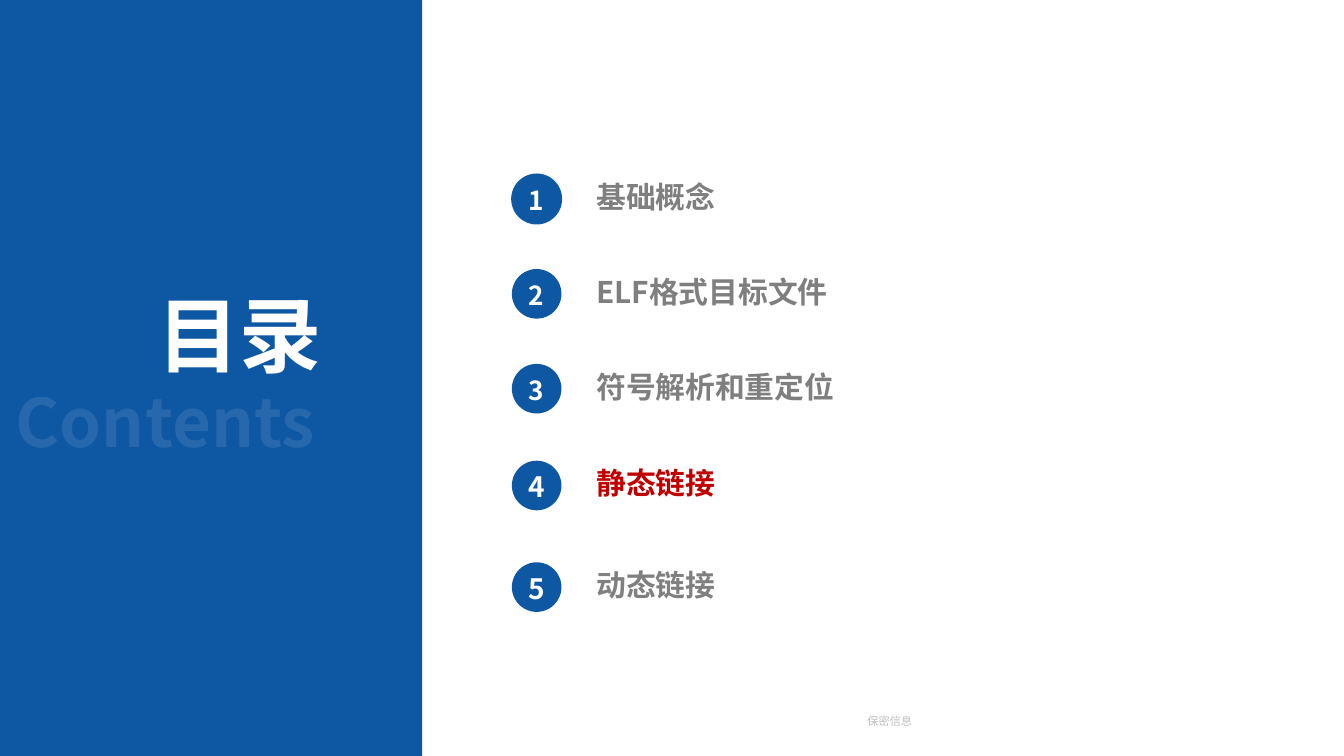
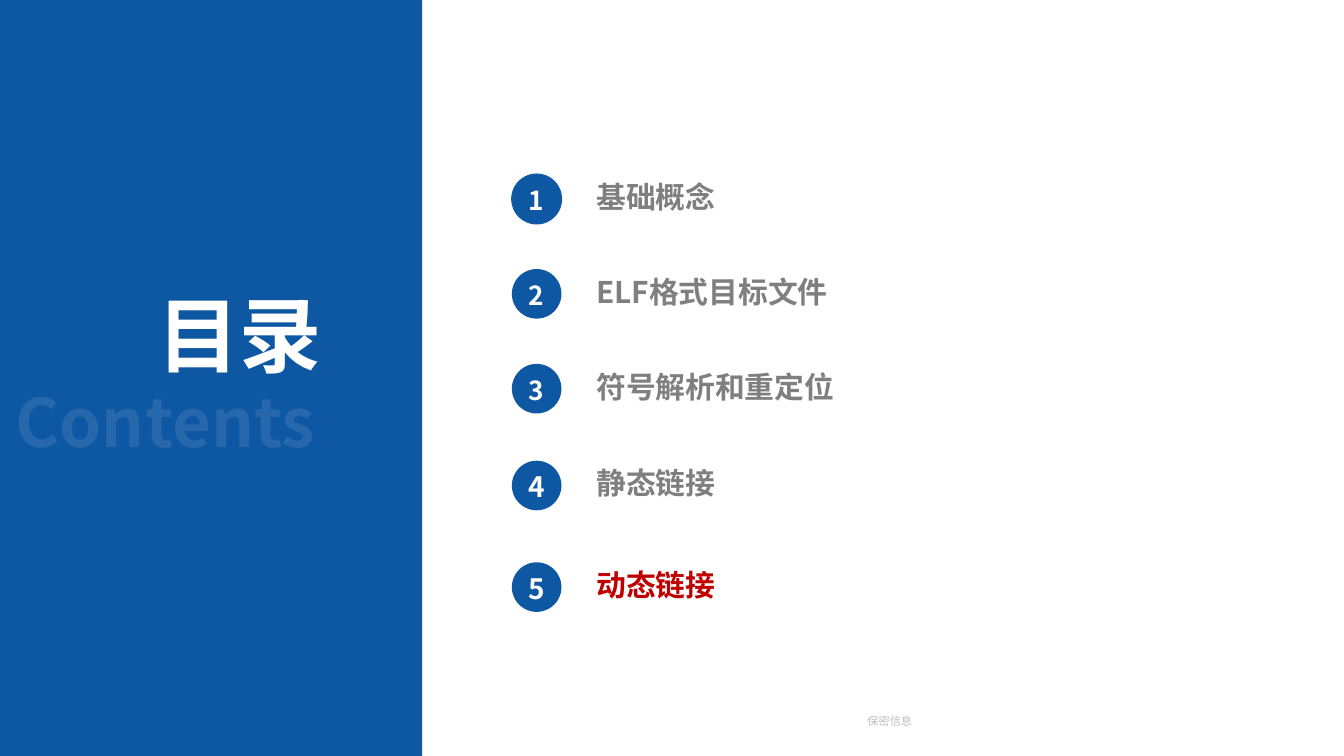
from lxml.etree import SubElement
from pptx import Presentation
from pptx.dml.color import RGBColor
from pptx.enum.shapes import MSO_SHAPE as SHAPE
from pptx.enum.text import MSO_ANCHOR as ANCHOR, MSO_AUTO_SIZE as AUTO, PP_ALIGN as ALIGN
from pptx.oxml.ns import qn
from pptx.util import Cm, Pt

BLUE = RGBColor(0x0E, 0x57, 0xA2)
RIM = RGBColor(0x0F, 0x5B, 0xA9)
GREY = RGBColor(0x7F, 0x7F, 0x7F)
RED = RGBColor(0xC0, 0x00, 0x00)
WHITE = RGBColor(0xFF, 0xFF, 0xFF)
FONT = "Noto Sans CJK SC"

# Heading, top of its row in cm, size of its number
TOPICS = [
    ("基础概念", 4.39, 18.7),
    ("ELF格式目标文件", 6.78, 18.7),
    ("符号解析和重定位", 9.17, 18.7),
    ("静态链接", 11.61, 20),
    ("动态链接", 14.17, 20),
]
CURRENT_TOPICS = [4, 5]
DOT_LEFT, DOT_SIZE, LABEL_LEFT = 12.9, 1.25, 14.78


def write(sp, text, size, color, bold=True, alpha=None, align=ALIGN.LEFT, **frame):
    """Fill a shape with one formatted line; frame holds text frame attributes."""
    tf = sp.text_frame
    for name, value in frame.items():
        setattr(tf, name, value)
    p = tf.paragraphs[0]
    p.alignment = align
    r = p.add_run()
    r.text = text
    for name, value in {"name": FONT, "size": Pt(size), "bold": bold}.items():
        setattr(r.font, name, value)
    r.font.color.rgb = color
    rPr = r.font._element
    if alpha is not None:
        SubElement(rPr.find(".//" + qn("a:srgbClr")), qn("a:alpha"), val=str(alpha * 1000))
    rPr.find(qn("a:latin")).addnext(rPr.makeelement(qn("a:ea"), {"typeface": FONT}))
    return p


def add_filled(s, shape, left, top, width, height):
    sp = s.shapes.add_shape(shape, Cm(left), Cm(top), Cm(width), Cm(height))
    sp.shadow.inherit = False
    sp.fill.solid()
    sp.fill.fore_color.rgb = BLUE
    sp.line.fill.background()
    return sp


prs = Presentation()
prs.slide_width, prs.slide_height = Cm(33.87), Cm(19.05)
layout = prs.slide_layouts[5]
slides = [prs.slides.add_slide(layout) for _ in CURRENT_TOPICS]

# Shared side panel, watermark word and footer live on the layout
for ph in list(layout.placeholders):
    if ph.placeholder_format.idx != 0:
        ph._element.getparent().remove(ph._element)

panel = add_filled(slides[0], SHAPE.RECTANGLE, 0, 0, 10.64, 19.05)
footer = slides[0].shapes.add_textbox(Cm(16.71), Cm(17.65), Cm(11.43), Cm(1.02))
write(footer, "保密信息", 8, GREY, bold=False, alpha=50, align=ALIGN.CENTER,
      word_wrap=True, vertical_anchor=ANCHOR.MIDDLE)
contents = slides[0].shapes.add_textbox(Cm(0.15), Cm(9.47), Cm(8.26), Cm(2.31))
write(contents, "Contents", 48, WHITE, alpha=10,
      word_wrap=False, auto_size=AUTO.SHAPE_TO_FIT_TEXT)
for sp in (panel, footer, contents):
    layout.shapes._spTree.append(sp._element)

for s, current in zip(slides, CURRENT_TOPICS):
    title = s.shapes.title
    title.left, title.top, title.width, title.height = Cm(3.71), Cm(7.16), Cm(4.7), Cm(2.64)
    write(title, "目录", 58.7, WHITE, word_wrap=False, vertical_anchor=ANCHOR.TOP,
          auto_size=AUTO.SHAPE_TO_FIT_TEXT, margin_top=0)

    for number, (topic, top, size) in enumerate(TOPICS, 1):
        dot = add_filled(s, SHAPE.FLOWCHART_CONNECTOR, DOT_LEFT, top, DOT_SIZE, DOT_SIZE)
        if number == 1:
            dot.line.color.rgb = RIM
            dot.line.width = Pt(1)
        write(dot, str(number), size, WHITE, align=ALIGN.CENTER, word_wrap=False,
              vertical_anchor=ANCHOR.MIDDLE, margin_left=0, margin_right=0,
              margin_top=Cm(0.06), margin_bottom=0)

        label = s.shapes.add_textbox(Cm(LABEL_LEFT), Cm(top + 0.06), Cm(16.76), Cm(1.07))
        p = write(label, topic, 21.3, RED if number == current else GREY,
                  word_wrap=True, vertical_anchor=ANCHOR.MIDDLE,
                  auto_size=AUTO.SHAPE_TO_FIT_TEXT,
                  margin_top=Cm(0.15), margin_bottom=Cm(0.1))
        p.line_spacing = 0.9
        p.space_before = Pt(10)

prs.save("out.pptx")
